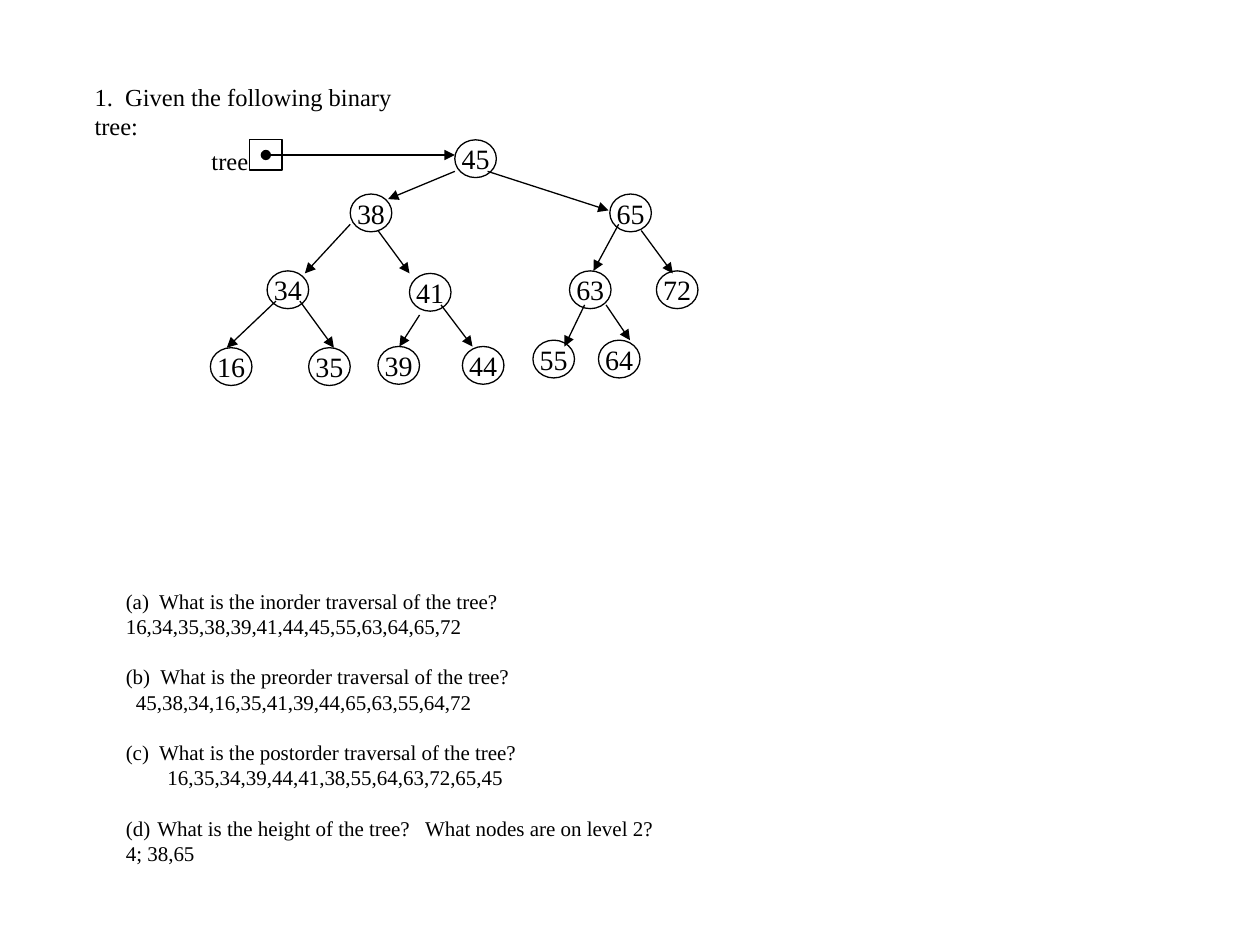
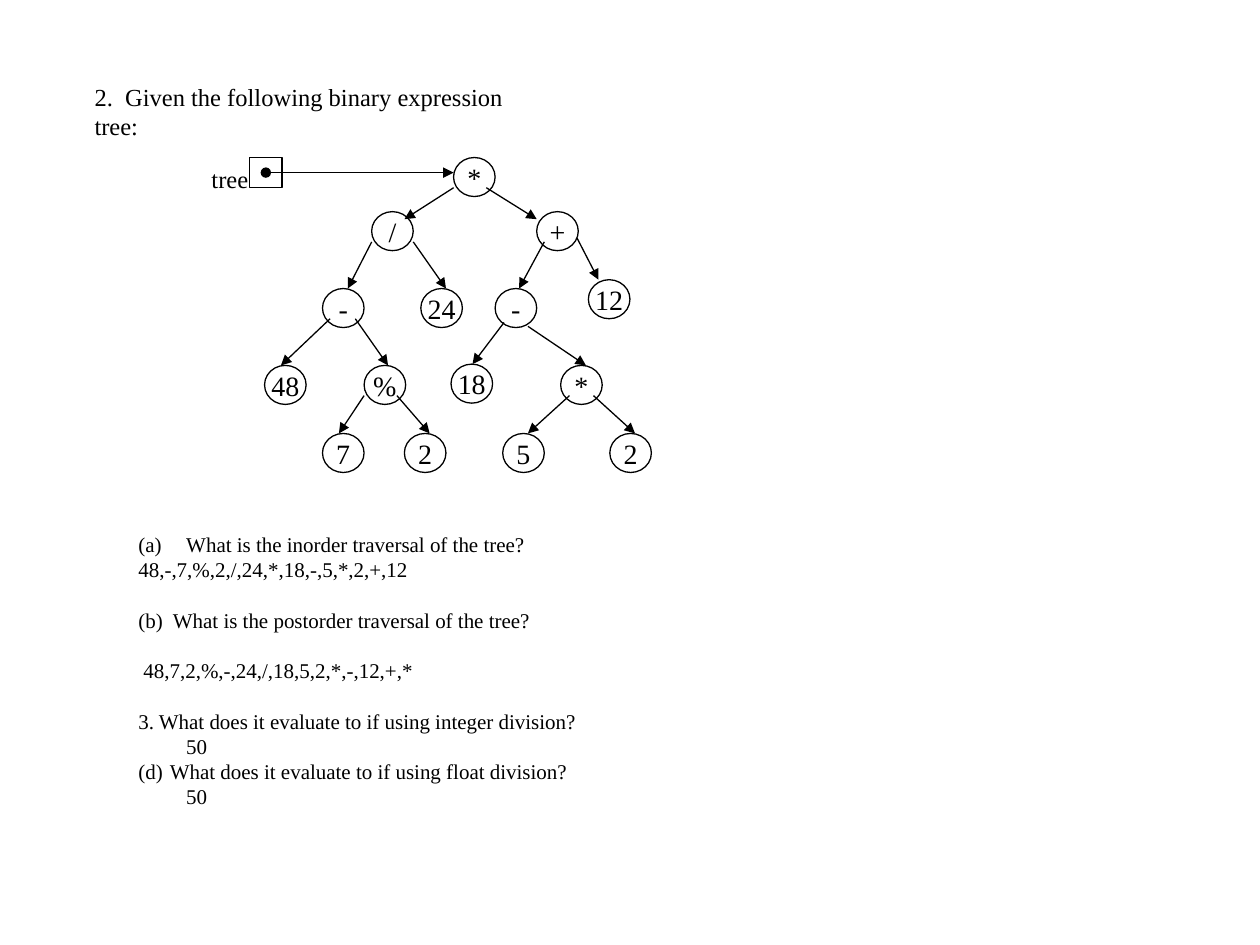
from dataclasses import dataclass
from typing import NamedTuple

import lxml.etree
import pptx
import pptx.dml.color
import pptx.enum.shapes
import pptx.enum.text
import pptx.oxml.ns
import pptx.util

Inches = pptx.util.Inches
Pt = pptx.util.Pt

FONT = "Times New Roman"
INK = "000000"
TITLE_SIZE, NODE_SIZE, QUESTION_SIZE = 14, 16, 12
LINE_SPACING = 1.2
LINE_WIDTH = 0.75
NODE_WIDTH = 0.33
POINTER_LEFT, POINTER_WIDTH, POINTER_HEIGHT = 1.98, 0.26, 0.24


class Node(NamedTuple):
    label: str
    left: float
    top: float


class Arrow(NamedTuple):
    x1: float
    y1: float
    x2: float
    y2: float


class Line(NamedTuple):
    text: str
    indent: float = 0
    blank_before: bool = False
    letter: int = 0  # automatic letter number: 1 is (a)


@dataclass
class Exercise:
    title: str
    title_width: float
    questions_at: tuple[float, float, float, float]
    questions: list[Line]
    node_height: float
    nodes: list[Node]  # the root comes first
    arrows: list[Arrow]


EXERCISES = [
    Exercise(
        title="1.  Given the following binary tree:",
        title_width=2.9,
        questions_at=(0.9, 4.62, 4.45, 2.32),
        questions=[
            Line("(a)  What is the inorder traversal of the tree?"),
            Line("16,34,35,38,39,41,44,45,55,63,64,65,72"),
            Line("(b)  What is the preorder traversal of the tree?", blank_before=True),
            Line("45,38,34,16,35,41,39,44,65,63,55,64,72", indent=0.08),
            Line("(c)  What is the postorder traversal of the tree?", blank_before=True),
            Line("16,35,34,39,44,41,38,55,64,63,72,65,45", indent=0.33),
            Line("What is the height of the tree?   What nodes are on level 2?",
                 indent=0.25, blank_before=True, letter=4),
            Line("4; 38,65"),
        ],
        node_height=0.3,
        nodes=[
            Node("45", 3.61, 1.11),
            Node("38", 2.78, 1.54), Node("65", 4.84, 1.54),
            Node("34", 2.12, 2.15), Node("41", 3.25, 2.17),
            Node("63", 4.52, 2.15), Node("72", 5.21, 2.15),
            Node("16", 1.67, 2.76), Node("35", 2.45, 2.76),
            Node("39", 3, 2.75), Node("44", 3.67, 2.75),
            Node("55", 4.23, 2.7), Node("64", 4.75, 2.7),
        ],
        arrows=[
            Arrow(3.61, 1.36, 3.08, 1.58), Arrow(3.87, 1.36, 4.83, 1.67),
            Arrow(2.78, 1.78, 2.42, 2.17), Arrow(3, 1.83, 3.25, 2.17),
            Arrow(4.91, 1.78, 4.71, 2.15), Arrow(5.09, 1.83, 5.34, 2.17),
            Arrow(2.19, 2.39, 1.8, 2.76), Arrow(2.38, 2.39, 2.65, 2.76),
            Arrow(3.33, 2.5, 3.17, 2.75), Arrow(3.5, 2.42, 3.75, 2.75),
            Arrow(4.64, 2.42, 4.48, 2.75), Arrow(4.81, 2.42, 5, 2.7),
        ],
    ),
    Exercise(
        title="2.  Given the following binary expression tree:",
        title_width=3.8,
        questions_at=(1, 4.17, 3.73, 2.32),
        questions=[
            Line("What is the inorder traversal of the tree?", indent=0.38, letter=1),
            Line("48,-,7,%,2,/,24,*,18,-,5,*,2,+,12"),
            Line("(b)  What is the postorder traversal of the tree?", blank_before=True),
            Line("48,7,2,%,-,24,/,18,5,2,*,-,12,+,*", indent=0.04, blank_before=True),
            Line("3. What does it evaluate to if using integer division?", blank_before=True),
            Line("50", indent=0.38),
            Line("What does it evaluate to if using float division?", indent=0.25, letter=4),
            Line("50", indent=0.38),
        ],
        node_height=0.31,
        nodes=[
            Node("*", 3.6, 1.25),
            Node("/", 2.95, 1.68), Node("+", 4.26, 1.68),
            Node("-", 2.56, 2.29), Node("24", 3.34, 2.29),
            Node("-", 3.93, 2.29), Node("12", 4.67, 2.22),
            Node("48", 2.1, 2.9), Node("%", 2.89, 2.9),
            Node("18", 3.58, 2.89), Node("*", 4.45, 2.9),
            Node("7", 2.56, 3.44), Node("2", 3.21, 3.44),
            Node("5", 3.99, 3.44), Node("2", 4.84, 3.44),
        ],
        arrows=[
            Arrow(3.6, 1.49, 3.21, 1.74), Arrow(3.86, 1.49, 4.26, 1.74),
            Arrow(2.95, 1.92, 2.76, 2.29), Arrow(3.28, 1.92, 3.54, 2.29),
            Arrow(4.32, 1.92, 4.12, 2.29), Arrow(4.58, 1.89, 4.75, 2.22),
            Arrow(2.62, 2.53, 2.23, 2.9), Arrow(2.82, 2.53, 3.08, 2.9),
            Arrow(4, 2.56, 3.75, 2.89), Arrow(4.19, 2.59, 4.65, 2.9),
            Arrow(2.89, 3.14, 2.69, 3.44), Arrow(3.15, 3.14, 3.41, 3.44),
            Arrow(4.52, 3.14, 4.19, 3.44), Arrow(4.71, 3.14, 5.04, 3.44),
        ],
    ),
]


def set_all(target, values: dict) -> None:
    for name, value in values.items():
        setattr(target, name, value)


def color(hex_text: str) -> pptx.dml.color.RGBColor:
    return pptx.dml.color.RGBColor.from_string(hex_text)


def place(box, left: float, top: float, width: float, height: float) -> None:
    set_all(box, {"left": Inches(left), "top": Inches(top),
                  "width": Inches(width), "height": Inches(height)})


def write(para, text: str, size: float, **layout) -> None:
    """Fill a paragraph with one formatted run."""
    set_all(para, layout)
    span = para.add_run()
    span.text = text
    set_all(span.font, {"name": FONT, "size": Pt(size), "bold": False})
    span.font.color.rgb = color(INK)


def set_ink_line(line) -> None:
    line.color.rgb = color(INK)
    line.width = Pt(LINE_WIDTH)


def add_outline(page, kind, left: float, top: float, width: float, height: float):
    """Add an unfilled preset shape with a thin line."""
    box = page.shapes.add_shape(kind, *map(Inches, (left, top, width, height)))
    box.shadow.inherit = False
    box.fill.background()
    set_ink_line(box.line)
    return box


def add_arrow(page, arrow: Arrow, dot: bool = False) -> None:
    link = page.shapes.add_connector(
        pptx.enum.shapes.MSO_CONNECTOR.STRAIGHT, *map(Inches, arrow))
    set_ink_line(link.line)
    properties = link._element.spPr
    ends = {"a:headEnd": "oval"} if dot else {}
    for tag, kind in (ends | {"a:tailEnd": "triangle"}).items():
        lxml.etree.SubElement(
            properties.get_or_add_ln(), pptx.oxml.ns.qn(tag), type=kind)
    lxml.etree.SubElement(properties, pptx.oxml.ns.qn("a:effectLst"))


def add_node(page, node: Node, height: float) -> None:
    circle = add_outline(page, pptx.enum.shapes.MSO_SHAPE.OVAL,
                         node.left, node.top, NODE_WIDTH, height)
    frame = circle.text_frame
    set_all(frame, {"word_wrap": False,
                    "vertical_anchor": pptx.enum.text.MSO_ANCHOR.MIDDLE})
    write(frame.paragraphs[0], node.label, NODE_SIZE,
          alignment=pptx.enum.text.PP_ALIGN.CENTER)


def add_tree_pointer(page, root: Node) -> None:
    """Draw the labelled box that points at the root."""
    add_outline(page, pptx.enum.shapes.MSO_SHAPE.RECTANGLE,
                POINTER_LEFT, root.top, POINTER_WIDTH, POINTER_HEIGHT)
    label = page.shapes.add_textbox(*map(Inches, (1.58, root.top, 0.49, 0.33)))
    label.text_frame.word_wrap = False
    write(label.text_frame.paragraphs[0], "tree", TITLE_SIZE)
    middle = root.top + POINTER_HEIGHT / 2
    add_arrow(page, Arrow(POINTER_LEFT + POINTER_WIDTH / 2, middle, root.left, middle),
              dot=True)


def set_title(page, exercise: Exercise) -> None:
    title = page.shapes.title
    place(title, 0.65, 0.6, exercise.title_width, 0.33)
    set_all(title.text_frame, {
        "word_wrap": True,
        "auto_size": pptx.enum.text.MSO_AUTO_SIZE.NONE,
        "vertical_anchor": pptx.enum.text.MSO_ANCHOR.TOP,
    })
    write(title.text_frame.paragraphs[0], exercise.title, TITLE_SIZE,
          alignment=pptx.enum.text.PP_ALIGN.LEFT,
          line_spacing=Pt(TITLE_SIZE * LINE_SPACING))


def add_questions(page, exercise: Exercise) -> None:
    box = page.shapes.add_textbox(*map(Inches, exercise.questions_at))
    frame = box.text_frame
    frame.word_wrap = True
    line_height = Pt(QUESTION_SIZE * LINE_SPACING)
    for index, line in enumerate(exercise.questions):
        para = frame.add_paragraph() if index else frame.paragraphs[0]
        write(para, line.text, QUESTION_SIZE, line_spacing=line_height,
              space_before=line_height if line.blank_before else Pt(0))
        indent = Inches(line.indent)
        properties = para._p.get_or_add_pPr()
        properties.set("marL", str(indent))
        properties.set("indent", str(-indent if line.letter else 0))
        if line.letter:
            lxml.etree.SubElement(properties, pptx.oxml.ns.qn("a:buAutoNum"),
                                  type="alphaLcParenBoth", startAt=str(line.letter))


def main() -> None:
    deck = pptx.Presentation()
    set_all(deck, {"slide_width": Inches(10), "slide_height": Inches(7.5)})
    title_only = deck.slide_layouts[5]
    for exercise in EXERCISES:
        page = deck.slides.add_slide(title_only)
        set_title(page, exercise)
        add_questions(page, exercise)
        for node in exercise.nodes:
            add_node(page, node, exercise.node_height)
        for arrow in exercise.arrows:
            add_arrow(page, arrow)
        add_tree_pointer(page, exercise.nodes[0])
    deck.save("out.pptx")


if __name__ == "__main__":
    main()
